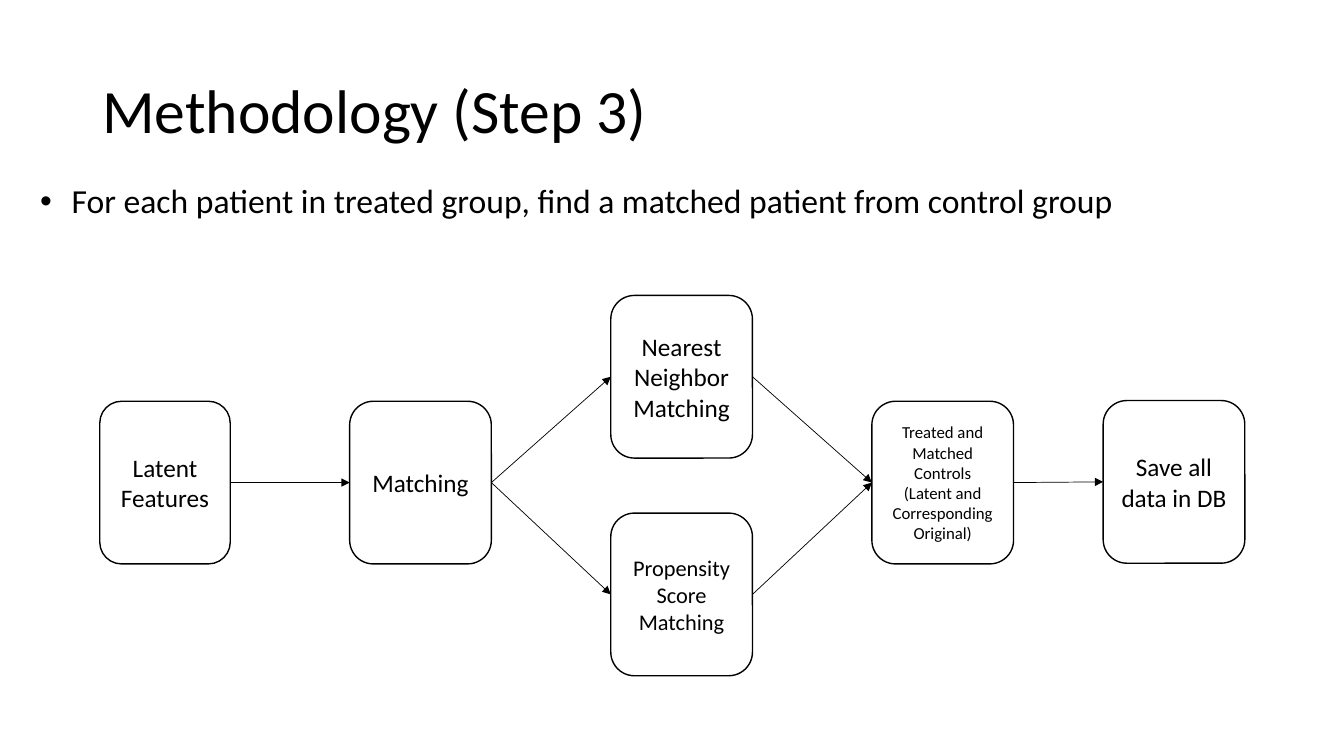
from dataclasses import dataclass

from lxml.etree import SubElement
from pptx import Presentation
from pptx.dml.color import RGBColor
from pptx.enum.shapes import MSO_CONNECTOR, MSO_SHAPE
from pptx.enum.text import MSO_ANCHOR, PP_ALIGN
from pptx.oxml.ns import qn
from pptx.util import Pt


@dataclass(frozen=True)
class Theme:
    """Colours, font and type sizes of the slide."""
    font: str = "Calibri"
    ink: RGBColor = RGBColor(0, 0, 0)
    paper: RGBColor = RGBColor(255, 255, 255)
    title: int = 44
    body: int = 24
    label: int = 18
    compact: int = 16
    small: int = 12
    outline: float = 1
    arrow: float = 0.5


class SlideBuilder:
    """Draws styled elements on the current slide."""

    def __init__(self, slide, theme):
        self.slide = slide
        self.theme = theme

    def set_text(self, shape, text, size, anchor, alignment):
        """Put one styled paragraph into a shape and return it."""
        frame = shape.text_frame
        frame.word_wrap = True
        frame.vertical_anchor = anchor
        paragraph = frame.paragraphs[0]
        paragraph.text = text
        paragraph.alignment = alignment
        paragraph.font.name = self.theme.font
        paragraph.font.size = Pt(size)
        paragraph.font.color.rgb = self.theme.ink
        return paragraph

    def text(self, text, left, top, width, height, size, anchor=MSO_ANCHOR.TOP):
        """Add a left-aligned text box and return its paragraph."""
        box = self.slide.shapes.add_textbox(Pt(left), Pt(top), Pt(width), Pt(height))
        return self.set_text(box, text, size, anchor, PP_ALIGN.LEFT)

    def bullet(self, text, left, top, width, height, indent):
        """Add a bulleted text box with a hanging indent."""
        paragraph = self.text(text, left, top, width, height, self.theme.body)
        properties = paragraph._p.get_or_add_pPr()
        properties.set("marL", str(Pt(indent)))
        properties.set("indent", str(-Pt(indent)))
        bullet_font = SubElement(properties, qn("a:buFont"), typeface="Arial")
        bullet_character = SubElement(properties, qn("a:buChar"), char="•")
        properties.find(qn("a:defRPr")).addprevious(bullet_font)
        bullet_font.addnext(bullet_character)

    def step(self, text, left, top, width, height, size):
        """Add an outlined rounded box with a centred label."""
        shape = self.slide.shapes.add_shape(
            MSO_SHAPE.ROUNDED_RECTANGLE, Pt(left), Pt(top), Pt(width), Pt(height))
        shape.shadow.inherit = False
        shape.fill.solid()
        shape.fill.fore_color.rgb = self.theme.paper
        shape.line.color.rgb = self.theme.ink
        shape.line.width = Pt(self.theme.outline)
        self.set_text(shape, text, size, MSO_ANCHOR.MIDDLE, PP_ALIGN.CENTER)
        return shape

    def arrow(self, source, target):
        """Join the right side of one box to the left side of another."""
        right_site, left_site = 3, 1
        connector = self.slide.shapes.add_connector(MSO_CONNECTOR.STRAIGHT, 0, 0, 0, 0)
        connector.begin_connect(source, right_site)
        connector.end_connect(target, left_site)
        connector.line.color.rgb = self.theme.ink
        connector.line.width = Pt(self.theme.arrow)
        properties = connector._element.spPr
        SubElement(properties.find(qn("a:ln")), qn("a:tailEnd"), type="triangle")
        SubElement(properties, qn("a:effectLst"))


def main():
    """Build and save the methodology slide."""
    presentation = Presentation()
    presentation.slide_width, presentation.slide_height = Pt(960), Pt(540)
    theme = Theme()
    builder = SlideBuilder(
        presentation.slides.add_slide(presentation.slide_layouts[6]), theme)

    title = builder.text("Methodology (Step 3)", 66, 28.75, 828, 104.4,
                         theme.title, MSO_ANCHOR.MIDDLE)
    title.line_spacing = 0.9
    builder.bullet("For each patient in treated group, find a matched patient "
                   "from control group", 21.6, 125.3, 830, 36, 22.5)

    box_width, box_height = 101.2, 116.2
    upper, middle, lower = 211, 286.6, 366.5
    steps = {
        "latent": ("Latent Features", 71.3, middle, 93.2, theme.label),
        "matching": ("Matching", 249.8, middle, box_width, theme.label),
        "propensity": ("Propensity Score Matching", 436.3, lower, box_width, theme.compact),
        "neighbor": ("Nearest Neighbor Matching", 436.3, upper, box_width, theme.label),
        "controls": ("Treated and Matched Controls (Latent and Corresponding Original)",
                     622.8, middle, box_width, theme.small),
        "save": ("Save all data in DB", 788, middle - 0.5, box_width, theme.label),
    }
    boxes = {name: builder.step(text, left, top, width, box_height, size)
             for name, (text, left, top, width, size) in steps.items()}

    flow = [("latent", "matching"), ("matching", "neighbor"),
            ("matching", "propensity"), ("neighbor", "controls"),
            ("propensity", "controls"), ("controls", "save")]
    for source, target in flow:
        builder.arrow(boxes[source], boxes[target])

    presentation.save("out.pptx")


main()
